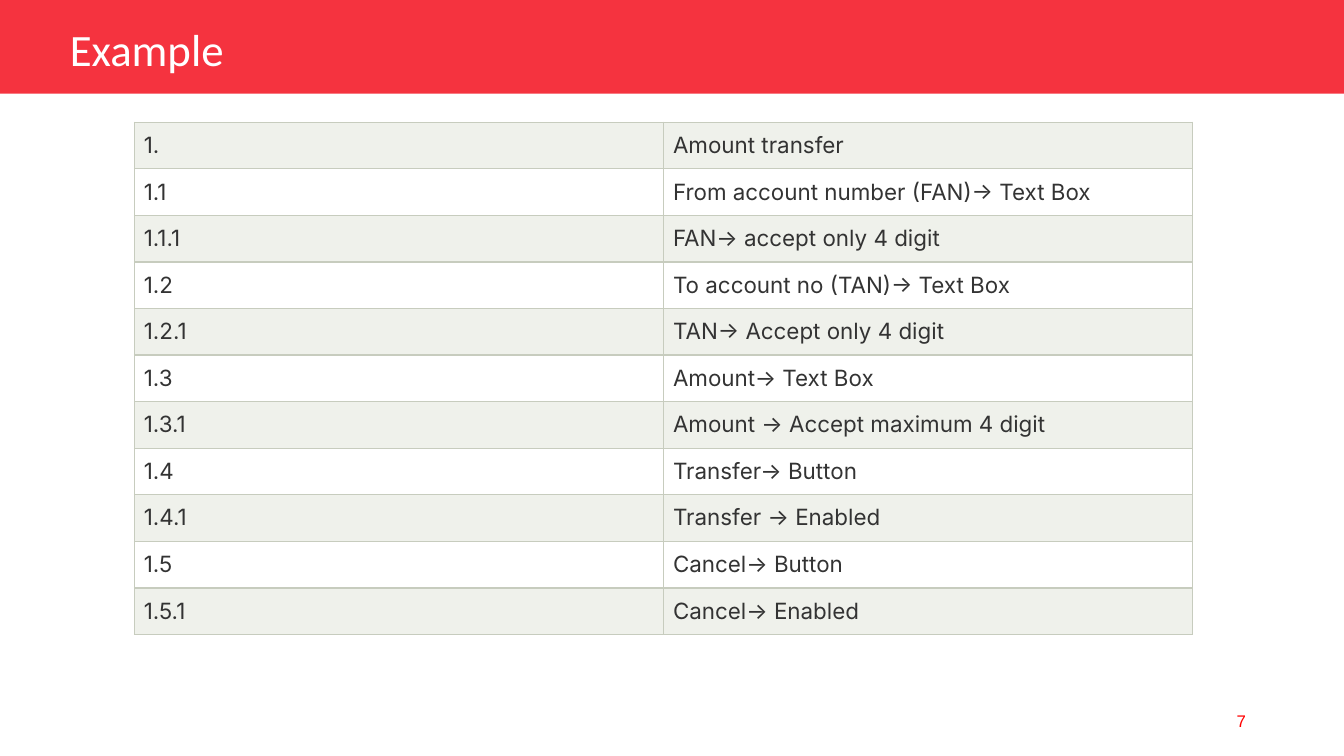
import lxml.etree
import pptx
import pptx.dml.color
import pptx.enum.shapes
import pptx.enum.text
import pptx.oxml.ns
import pptx.util

Pt = pptx.util.Pt
ALIGN = pptx.enum.text.PP_ALIGN
MIDDLE = pptx.enum.text.MSO_ANCHOR.MIDDLE

COLORS = {
    "banner": "F5333F",
    "white": "FFFFFF",
    "number": "FF0000",
    "text": "333333",
    "band": "EFF1EB",
    "border": "C7CCBE",
}

REQUIREMENTS = [
    ("1.", "Amount transfer"),
    ("1.1", "From account number (FAN)→ Text Box"),
    ("1.1.1", "FAN→ accept only 4 digit"),
    ("1.2", "To account no (TAN)→ Text Box"),
    ("1.2.1", "TAN→ Accept only 4 digit"),
    ("1.3", "Amount→ Text Box"),
    ("1.3.1", "Amount → Accept maximum 4 digit"),
    ("1.4", "Transfer→ Button"),
    ("1.4.1", "Transfer → Enabled"),
    ("1.5", "Cancel→ Button"),
    ("1.5.1", "Cancel→ Enabled"),
]


def rgb(name):
    return pptx.dml.color.RGBColor.from_string(COLORS[name])


def write_text(frame, text, font="Inter", size=12, color="text", align=ALIGN.LEFT):
    paragraph = frame.paragraphs[0]
    paragraph.alignment = align
    run = paragraph.add_run()
    run.text = text
    run.font.name = font
    run.font.size = Pt(size)
    run.font.color.rgb = rgb(color)


class SlideBuilder:
    def __init__(self, slide, border_width=0.75, cell_margin=5.1):
        self.slide = slide
        self.border_width = border_width
        self.cell_margin = cell_margin

    def rectangle(self, left, top, width, height, color):
        shape = self.slide.shapes.add_shape(
            pptx.enum.shapes.MSO_SHAPE.RECTANGLE,
            Pt(left), Pt(top), Pt(width), Pt(height))
        shape.shadow.inherit = False
        shape.fill.solid()
        shape.fill.fore_color.rgb = rgb(color)
        shape.line.fill.background()

    def text_box(self, left, top, width, height, text, **text_format):
        shape = self.slide.shapes.add_textbox(Pt(left), Pt(top), Pt(width), Pt(height))
        frame = shape.text_frame
        frame.word_wrap = True
        frame.vertical_anchor = MIDDLE
        write_text(frame, text, **text_format)

    def cell_borders(self, cell):
        properties = cell._tc.get_or_add_tcPr()
        qn = pptx.oxml.ns.qn
        for side in ("lnL", "lnR", "lnT", "lnB"):
            line = lxml.etree.SubElement(
                properties, qn("a:" + side), w=str(Pt(self.border_width)))
            fill = lxml.etree.SubElement(line, qn("a:solidFill"))
            lxml.etree.SubElement(fill, qn("a:srgbClr"), val=COLORS["border"])

    def table(self, left, top, width, height, rows):
        table = self.slide.shapes.add_table(
            len(rows), len(rows[0]), Pt(left), Pt(top), Pt(width), Pt(height)).table
        table.first_row = False
        table.horz_banding = False
        for row_index, row in enumerate(rows):
            for column_index, text in enumerate(row):
                cell = table.cell(row_index, column_index)
                cell.margin_left = cell.margin_right = Pt(self.cell_margin)
                cell.margin_top = cell.margin_bottom = Pt(self.cell_margin)
                self.cell_borders(cell)
                cell.fill.solid()
                cell.fill.fore_color.rgb = rgb("white" if row_index % 2 else "band")
                write_text(cell.text_frame, text, align=ALIGN.JUSTIFY)


def main():
    presentation = pptx.Presentation()
    presentation.slide_width = Pt(720)
    presentation.slide_height = Pt(405)
    slide = presentation.slides.add_slide(presentation.slide_layouts[6])
    builder = SlideBuilder(slide)
    builder.rectangle(0, 0, 720, 50.2, "banner")
    builder.text_box(512.6, 375.2, 162, 21.6, "7", font="Arial", size=9,
                     color="number", align=ALIGN.RIGHT)
    builder.text_box(30.3, 10.1, 490.3, 31.7, "Example", font="Calibri", size=24,
                     color="white")
    builder.table(72, 65.5, 567, 274.4, REQUIREMENTS)
    presentation.save("out.pptx")


if __name__ == "__main__":
    main()
